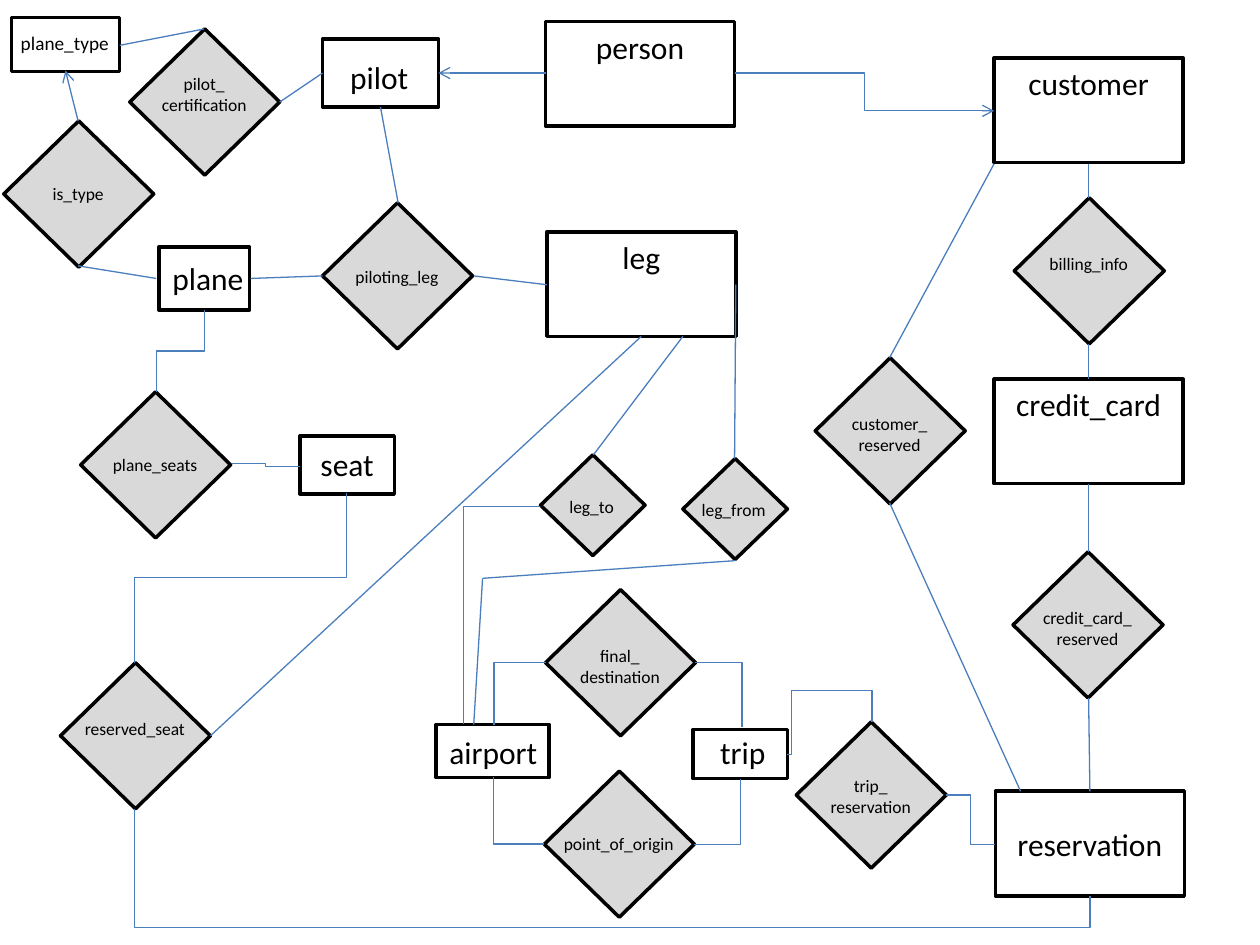
"""Builds the airline entity-relationship diagram as one slide."""
from lxml import etree
from pptx import Presentation
from pptx import util as u
from pptx.dml import color
from pptx.enum import shapes, text
from pptx.oxml import ns

RECTANGLE = shapes.MSO_SHAPE.RECTANGLE
DIAMOND = shapes.MSO_SHAPE.DIAMOND
CENTER, LEFT = text.PP_ALIGN.CENTER, text.PP_ALIGN.LEFT

# label, box (left, top, width, height), label place (left, top, width), size
ENTITIES = [
    ("person", (4.33, 0.17, 1.5, 0.83), (4.33, 0.17, 1.5), 18),
    ("pilot", (2.56, 0.31, 0.92, 0.54), (2.26, 0.41, 1.5), 18),
    ("customer", (7.89, 0.46, 1.5, 0.83), (7.89, 0.46, 1.5), 18),
    ("plane", (1.26, 1.96, 0.72, 0.5), (1.24, 2.01, 0.82), 18),
    ("credit_card", (7.89, 3.01, 1.5, 0.83), (7.89, 3.01, 1.5), 18),
    ("airport", (3.46, 5.75, 0.9, 0.42), (3.39, 5.77, 1.05), 18),
    ("seat", (2.38, 3.46, 0.75, 0.46), (2.38, 3.48, 0.75), 18),
    ("reservation", (7.9, 6.28, 1.5, 0.83), (7.9, 6.5, 1.5), 18),
    ("trip", (5.5, 5.79, 0.75, 0.39), (5.52, 5.77, 0.75), 18),
    ("leg", (4.34, 1.84, 1.5, 0.83), (4.34, 1.84, 1.5), 18),
    ("plane_type", (0.09, 0.14, 0.86, 0.43), (0.05, 0.2, 0.93), 11),
]

# label, diamond left, diamond top, label top
RELATIONSHIPS = [
    ("pilot_\ncertification", 1.03, 0.23, 0.53),
    ("billing_info", 8.05, 1.57, 1.96),
    ("point_of_origin", 4.32, 6.12, 6.56),
    ("final_\ndestination", 4.33, 4.68, 5.07),
    ("customer_\nreserved", 6.47, 2.84, 3.23),
    ("credit_card_\nreserved", 8.04, 4.38, 4.77),
    ("piloting_leg", 2.56, 1.61, 2.06),
    ("trip_\nreservation", 6.32, 5.73, 6.1),
    ("plane_seats", 0.64, 3.11, 3.55),
    ("reserved_seat", 0.48, 5.26, 5.65),
    ("is_type", 0.03, 0.96, 1.4),
]

# label, diamond left, diamond top, label place
LEG_ENDS = [
    ("leg_to", 4.29, 3.61, (4.42, 3.89, 0.67)),
    ("leg_from", 5.42, 3.64, (5.47, 3.91, 0.79)),
]

STRAIGHT_LINES = [
    ((3.02, 0.85), (3.16, 1.61)),
    ((2.56, 0.58), (2.22, 0.81)),
    ((1.62, 0.23), (0.95, 0.36)),
    ((2.56, 2.19), (1.99, 2.21)),
    ((3.76, 2.19), (4.34, 2.26)),
    ((8.64, 1.3), (8.64, 1.57)),
    ((8.64, 2.73), (8.64, 3.01)),
    ((8.64, 3.84), (8.64, 4.38)),
    ((8.64, 5.54), (8.65, 6.28)),
    ((7.06, 3.99), (8.1, 6.28)),
    ((7.06, 2.84), (7.89, 1.3)),
    ((1.67, 5.84), (5.09, 2.67)),
    ((5.42, 2.67), (4.71, 3.61)),
    ((5.84, 2.26), (5.83, 3.64)),
    ((5.83, 4.45), (3.83, 4.59)),
    ((3.83, 4.59), (3.76, 5.75)),
    ((1.24, 2.21), (0.62, 2.11)),
]

# each runs sideways first, then up or down
CORNERS = [
    ((5.51, 6.7), (5.88, 6.18)),
    ((4.32, 6.7), (3.92, 6.17)),
    ((5.52, 5.26), (5.89, 5.77)),
    ((4.33, 5.26), (3.92, 5.75)),
    ((4.29, 4.02), (3.68, 5.75)),
]

# each runs up or down first; the last number is where it turns
UPRIGHT_STEPS = [
    ((1.24, 3.11), (1.62, 2.46), 0.5),
    ((2.75, 3.91), (1.07, 5.26), 0.5),
    ((1.07, 6.42), (8.65, 7.11), 1.36),
]


def rgb(value):
    """Return a colour from a hex string."""
    return color.RGBColor.from_string(value)


def add_box(slide, kind, place, fill):
    """Draw a filled shape with a heavy black outline."""
    box = slide.shapes.add_shape(kind, *map(u.Inches, place))
    box.shadow.inherit = False
    box.fill.solid()
    box.fill.fore_color.rgb = rgb(fill)
    box.line.color.rgb = rgb("000000")
    box.line.width = u.Pt(2)


def add_label(slide, label, place, size, align=CENTER):
    """Write a label, one paragraph per line."""
    lines = label.split("\n")
    height = 0.1 + len(lines) * size / 60
    box = slide.shapes.add_textbox(*map(u.Inches, (*place, height)))
    frame = box.text_frame
    frame.word_wrap = True
    frame.auto_size = text.MSO_AUTO_SIZE.SHAPE_TO_FIT_TEXT
    frame.text = label
    for para in frame.paragraphs:
        para.alignment = align
        para.font.name = "Calibri"
        para.font.size = u.Pt(size)
        para.font.color.rgb = rgb("000000")


def add_link(slide, start, end, preset="line", turns=(), arrow=False):
    """Draw a thin blue connector of a preset form."""
    kind = shapes.MSO_CONNECTOR.STRAIGHT
    if preset != "line":
        kind = shapes.MSO_CONNECTOR.ELBOW
    link = slide.shapes.add_connector(kind, *map(u.Inches, (*start, *end)))
    link.line.color.rgb = rgb("4B7EBC")
    link.line.width = u.Pt(0.75)
    properties = link._element.spPr
    etree.SubElement(properties, ns.qn("a:effectLst"))
    geometry = properties.find(ns.qn("a:prstGeom"))
    geometry.set("prst", preset)
    for number, turn in enumerate(turns, 1):
        guide = etree.SubElement(geometry.find(ns.qn("a:avLst")), ns.qn("a:gd"))
        guide.set("name", f"adj{number}")
        guide.set("fmla", f"val {round(turn * 100000)}")
    if arrow:
        tail = etree.SubElement(properties.find(ns.qn("a:ln")), ns.qn("a:tailEnd"))
        tail.set("type", "arrow")
    return link


def add_upright_step(slide, start, end, turn):
    """Draw a three-part connector that leaves its start vertically."""
    across, down = end[0] - start[0], end[1] - start[1]
    middle_x, middle_y = start[0] + across / 2, start[1] + down / 2
    link = add_link(
        slide,
        (middle_x - down / 2, middle_y + across / 2),
        (middle_x + down / 2, middle_y - across / 2),
        "bentConnector3",
        [turn],
    )
    link._element.spPr.find(ns.qn("a:xfrm")).set("rot", "5400000")


def add_links(slide):
    """Draw every connector of the diagram."""
    for start, end in STRAIGHT_LINES:
        add_link(slide, start, end)
    for start, end in CORNERS:
        add_link(slide, start, end, "bentConnector2")
    for start, end, turn in UPRIGHT_STEPS:
        add_upright_step(slide, start, end, turn)
    step = "bentConnector3"
    add_link(slide, (1.84, 3.68), (2.38, 3.7), step, [0.5])
    add_link(slide, (7.51, 6.31), (7.9, 6.7), step, [0.5])
    add_link(slide, (6.25, 5.99), (6.92, 5.73), "bentConnector4", [0.05, 1.96])
    add_link(slide, (4.33, 0.58), (3.48, 0.58), step, [0.5], arrow=True)
    add_link(slide, (5.83, 0.58), (7.89, 0.88), step, [0.5], arrow=True)
    add_link(slide, (0.62, 0.96), (0.52, 0.56), arrow=True)


def main():
    """Build and save the slide."""
    deck = Presentation()
    deck.slide_width, deck.slide_height = u.Inches(10), u.Inches(7.5)
    slide = deck.slides.add_slide(deck.slide_layouts[6])
    for label, place, label_place, size in ENTITIES:
        add_box(slide, RECTANGLE, place, "FFFFFF")
        add_label(slide, label, label_place, size)
    for label, left, top, label_top in RELATIONSHIPS:
        add_box(slide, DIAMOND, (left, top, 1.19, 1.16), "D9D9D9")
        add_label(slide, label, (left + 0.05, label_top, 1.08), 10)
    for label, left, top, label_place in LEG_ENDS:
        add_box(slide, DIAMOND, (left, top, 0.83, 0.8), "D9D9D9")
        add_label(slide, label, label_place, 10, LEFT)
    add_links(slide)
    deck.save("out.pptx")


main()
